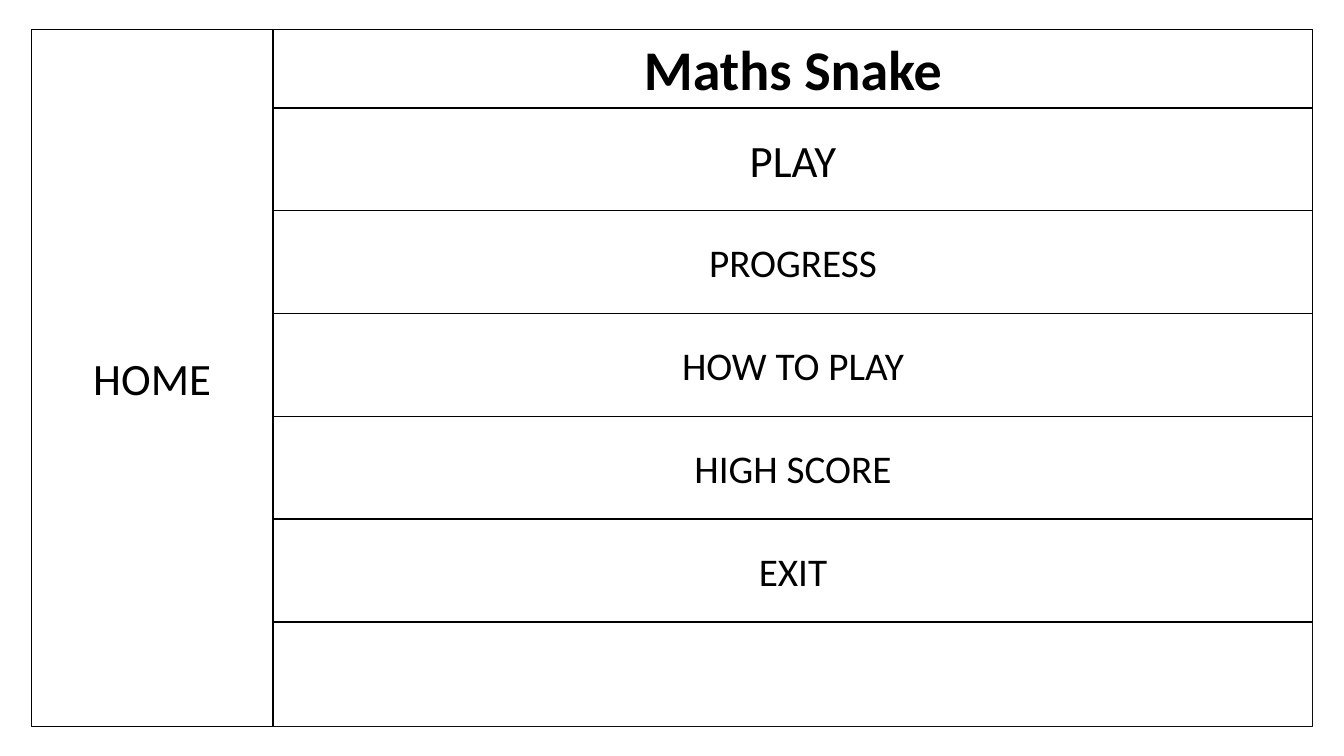
"""Build the home screen layout of a maths game as one slide."""
import pptx
import pptx.dml.color
import pptx.enum.shapes
import pptx.enum.text
import pptx.util

Inches = pptx.util.Inches
COLORS = {"paper": "FFFFFF", "ink": "000000", "frame": "0D0D0D"}
MENU = [("PLAY", 32), ("PROGRESS", 28), ("HOW TO PLAY", 28),
        ("HIGH SCORE", 28), ("EXIT", 28)]


def rgb(name):
    """Return the named colour."""
    return pptx.dml.color.RGBColor.from_string(COLORS[name])


def apply(target, formats):
    """Set each attribute of target from a dict of values."""
    for name, value in formats.items():
        setattr(target, name, value)


def add_box(slide, box, line="ink", filled=True):
    """Add an outlined rectangle at box, given in inches."""
    sp = slide.shapes.add_shape(
        pptx.enum.shapes.MSO_SHAPE.RECTANGLE, *map(Inches, box))
    sp.shadow.inherit = False
    if filled:
        sp.fill.solid()
        sp.fill.fore_color.rgb = rgb("paper")
    else:
        sp.fill.background()
    sp.line.color.rgb = rgb(line)
    sp.line.width = pptx.util.Pt(1)
    return sp


def add_label(slide, box, text, size, bold=False):
    """Add a rectangle with centred text."""
    tf = add_box(slide, box).text_frame
    apply(tf, {"word_wrap": True,
               "vertical_anchor": pptx.enum.text.MSO_ANCHOR.MIDDLE})
    p = tf.paragraphs[0]
    p.alignment = pptx.enum.text.PP_ALIGN.CENTER
    r = p.add_run()
    r.text = text
    apply(r.font, {"name": "Calibri", "size": pptx.util.Pt(size), "bold": bold})
    r.font.color.rgb = rgb("ink")


def add_menu(slide, box, title_height=0.78, row_height=1.02):
    """Stack the title and the menu entries from the top of box."""
    left, top, width, _ = box
    add_label(slide, (left, top, width, title_height), "Maths Snake", 40, True)
    for i, (text, size) in enumerate(MENU):
        row_top = top + title_height + i * row_height
        add_label(slide, (left, row_top, width, row_height), text, size)


def add_home_screen(slide, box, side_width=2.4):
    """Place the frame, the menu and the side panel inside box."""
    left, top, width, height = box
    add_box(slide, box, line="frame", filled=False)
    add_menu(slide, (left + side_width, top, width - side_width, height))
    add_label(slide, (left, top, side_width, height), "HOME", 32)


def main():
    """Create the presentation and save it."""
    prs = pptx.Presentation()
    apply(prs, {"slide_width": Inches(13.33), "slide_height": Inches(7.5)})
    slide = prs.slides.add_slide(prs.slide_layouts[6])
    add_home_screen(slide, (0.31, 0.29, 12.71, 6.92))
    prs.save("out.pptx")


main()
